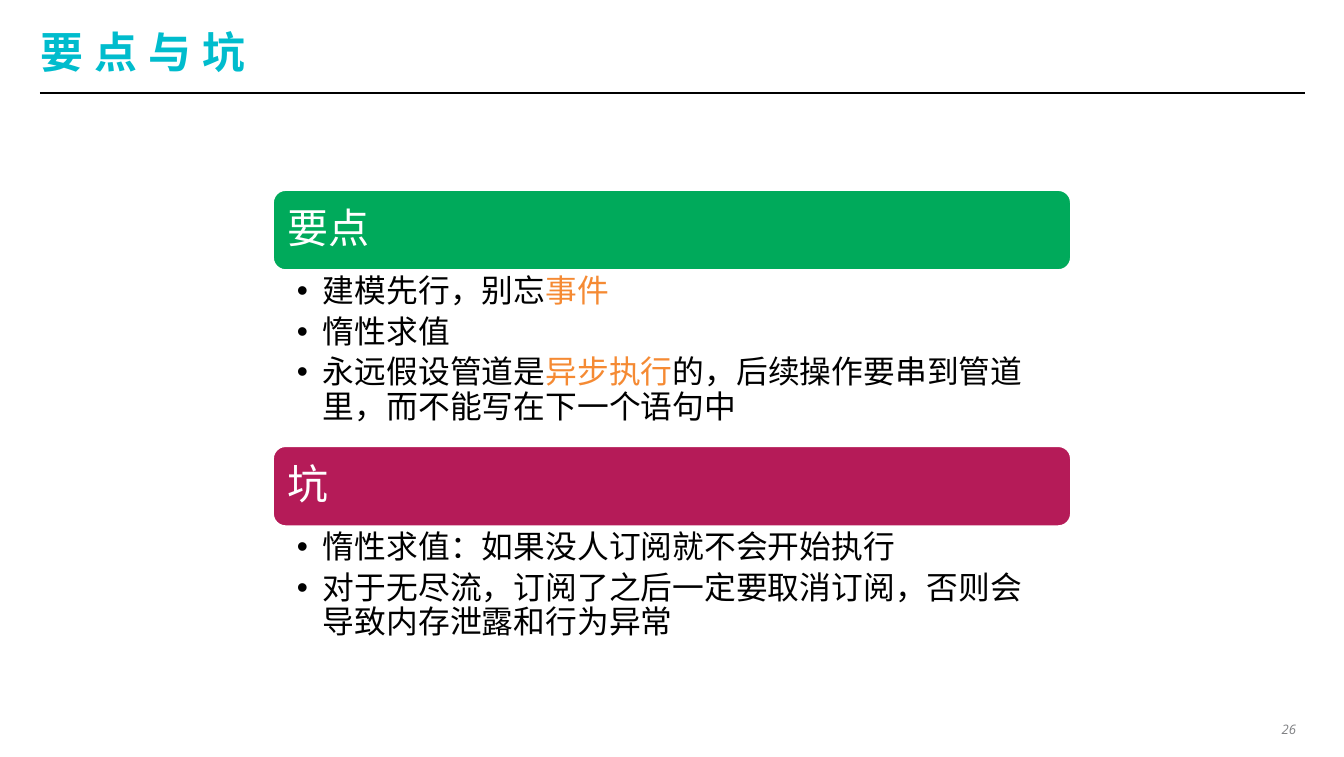
from dataclasses import dataclass

from pptx import Presentation
from pptx.dml.color import RGBColor
from pptx.enum.shapes import MSO_CONNECTOR as Connector, MSO_SHAPE as Shape
from pptx.enum.text import MSO_ANCHOR as Anchor, PP_ALIGN as Align
from pptx.oxml.ns import qn
from pptx.util import Emu, Inches, Pt

EMU_PER_PX = 914400 / 134.4


@dataclass(frozen=True)
class Theme:
    cyan: str = "00BCCD"
    green: str = "00AA5B"
    crimson: str = "B51B58"
    orange: str = "F58A33"
    gray: str = "808184"
    black: str = "000000"
    white: str = "FFFFFF"
    title_font: str = "Noto Sans CJK JP"
    body_font: str = "Arial"
    number_font: str = "Open Sans"
    title_size: int = 23
    heading_size: int = 22
    body_size: int = 17
    number_size: int = 7


THEME = Theme()

# Each bullet is a list of (text, colour) runs.
SECTIONS = [
    ("要点", THEME.green, 174, [
        [("建模先行，别忘", THEME.black), ("事件", THEME.orange)],
        [("惰性求值", THEME.black)],
        [("永远假设管道是", THEME.black), ("异步执行", THEME.orange),
         ("的，后续操作要串到管道里，而不能写在下一个语句中", THEME.black)],
    ]),
    ("坑", THEME.crimson, 130, [
        [("惰性求值：如果没人订阅就不会开始执行", THEME.black)],
        [("对于无尽流，订阅了之后一定要取消订阅，否则会导致内存泄露和行为异常", THEME.black)],
    ]),
]
SECTION_LEFT, SECTION_TOP, SECTION_WIDTH = 272, 189, 800
BAR_HEIGHT, BAR_PADDING, BULLET_INDENT = 82, 4, 26


def px(value):
    return Emu(round(value * EMU_PER_PX))


def color(value):
    return RGBColor.from_string(value)


def add_child(parent, tag, **attributes):
    parent.append(parent.makeelement(qn(tag), attributes))


def add_bullet(paragraph, indent):
    properties = paragraph._p.get_or_add_pPr()
    properties.set("marL", str(px(indent)))
    properties.set("indent", str(-px(indent)))
    add_child(properties, "a:buFont", typeface=THEME.body_font)
    add_child(properties, "a:buChar", char="•")


def add_run(paragraph, text, fill, font, size, bold=False, italic=False, tracking=0):
    run = paragraph.add_run()
    run.text = text
    run.font.name, run.font.size = font, Pt(size)
    run.font.bold, run.font.italic = bold, italic
    run.font.color.rgb = color(fill)
    properties = run._r.get_or_add_rPr()
    add_child(properties, "a:ea", typeface=font)
    if tracking:
        properties.set("spc", str(tracking * 100))


def add_text(slide, box, paragraphs, font, size, insets=(0, 0, 0, 0), anchor=Anchor.TOP,
             align=Align.LEFT, line_spacing=None, space_after=0, bullet_indent=0,
             **run_format):
    """Add a text box; each paragraph is a list of (text, colour) runs."""
    frame = slide.shapes.add_textbox(*map(px, box)).text_frame
    frame.word_wrap, frame.vertical_anchor = True, anchor
    (frame.margin_left, frame.margin_top,
     frame.margin_right, frame.margin_bottom) = map(px, insets)
    for index, runs in enumerate(paragraphs):
        paragraph = frame.add_paragraph() if index else frame.paragraphs[0]
        paragraph.alignment = align
        paragraph.line_spacing = line_spacing
        paragraph.space_after = Pt(space_after)
        if bullet_indent:
            add_bullet(paragraph, bullet_indent)
        for text, fill in runs:
            add_run(paragraph, text, fill, font, size, **run_format)


def add_rule(slide, left, right, y):
    rule = slide.shapes.add_connector(Connector.STRAIGHT, px(left), px(y), px(right), px(y))
    rule.line.color.rgb = color(THEME.black)
    rule.line.width = Pt(1)
    add_child(rule._element.spPr, "a:effectLst")


def add_bar(slide, box, fill):
    bar = slide.shapes.add_shape(Shape.ROUNDED_RECTANGLE, *map(px, box))
    bar.shadow.inherit = False
    bar.fill.solid()
    bar.fill.fore_color.rgb = color(fill)
    bar.line.color.rgb = color(THEME.white)
    bar.line.width = Pt(2)


def add_section(slide, top, heading, fill, body_height, bullets):
    """Add a heading bar with its bullets and return the bottom edge."""
    add_bar(slide, (SECTION_LEFT, top, SECTION_WIDTH, BAR_HEIGHT), fill)
    heading_box = (SECTION_LEFT + BAR_PADDING, top + BAR_PADDING,
                   SECTION_WIDTH - 2 * BAR_PADDING, BAR_HEIGHT - 2 * BAR_PADDING)
    add_text(slide, heading_box, [[(heading, THEME.white)]], THEME.body_font,
             THEME.heading_size, insets=(12, 12, 12, 12), anchor=Anchor.MIDDLE,
             line_spacing=0.9, space_after=0.35 * THEME.heading_size)
    body_top = top + BAR_HEIGHT
    add_text(slide, (SECTION_LEFT, body_top, SECTION_WIDTH, body_height), bullets,
             THEME.body_font, THEME.body_size, insets=(25, 4, 23, 4), line_spacing=0.9,
             space_after=0.2 * THEME.body_size, bullet_indent=BULLET_INDENT)
    return body_top + body_height


def main():
    presentation = Presentation()
    presentation.slide_width, presentation.slide_height = Inches(10), Inches(5.63)
    slide = presentation.slides.add_slide(presentation.slide_layouts[6])

    add_rule(slide, 40, 1305, 93)
    add_text(slide, (40, 23, 1265, 56), [[("要点与坑", THEME.cyan)]], THEME.title_font,
             THEME.title_size, anchor=Anchor.MIDDLE, bold=True, tracking=6)
    add_text(slide, (1264, 717, 40, 23), [[("26", THEME.gray)]], THEME.number_font,
             THEME.number_size, insets=(8, 4, 8, 4), align=Align.RIGHT, italic=True)

    top = SECTION_TOP
    for section in SECTIONS:
        top = add_section(slide, top, *section)

    presentation.save("out.pptx")


if __name__ == "__main__":
    main()
